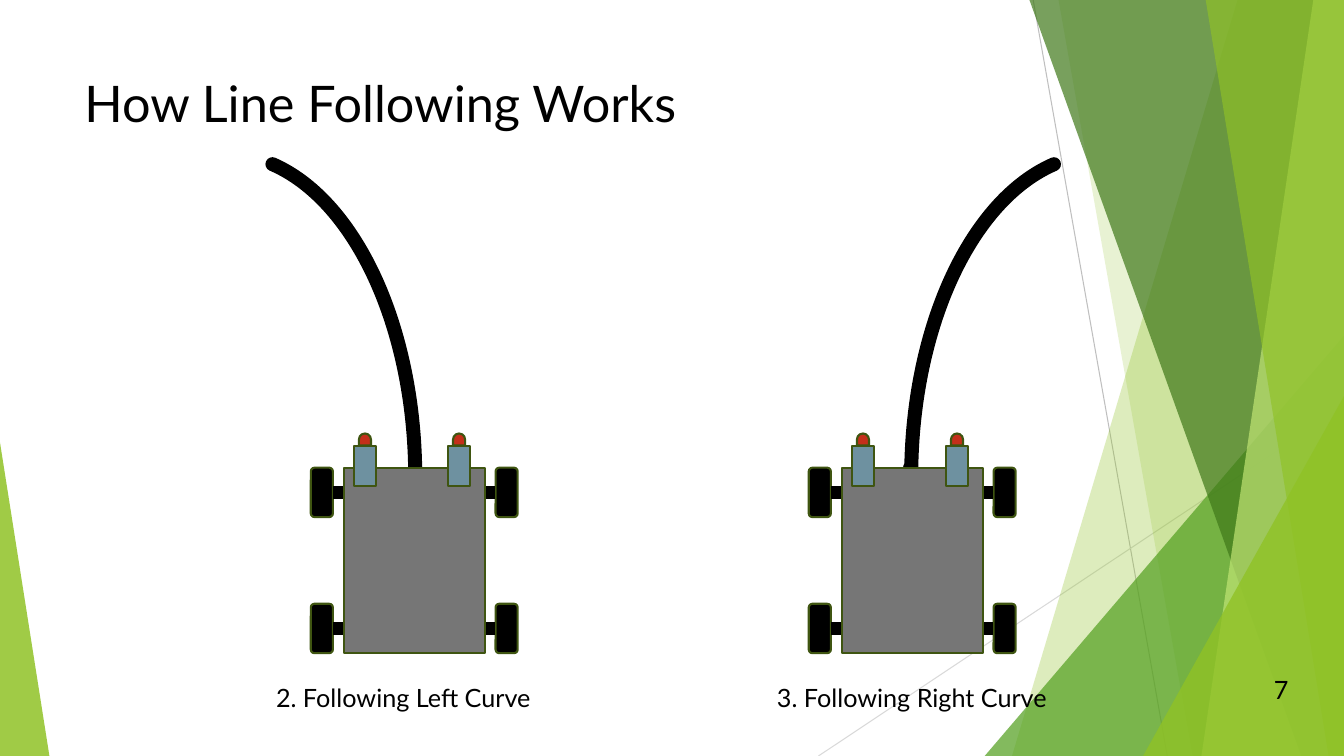
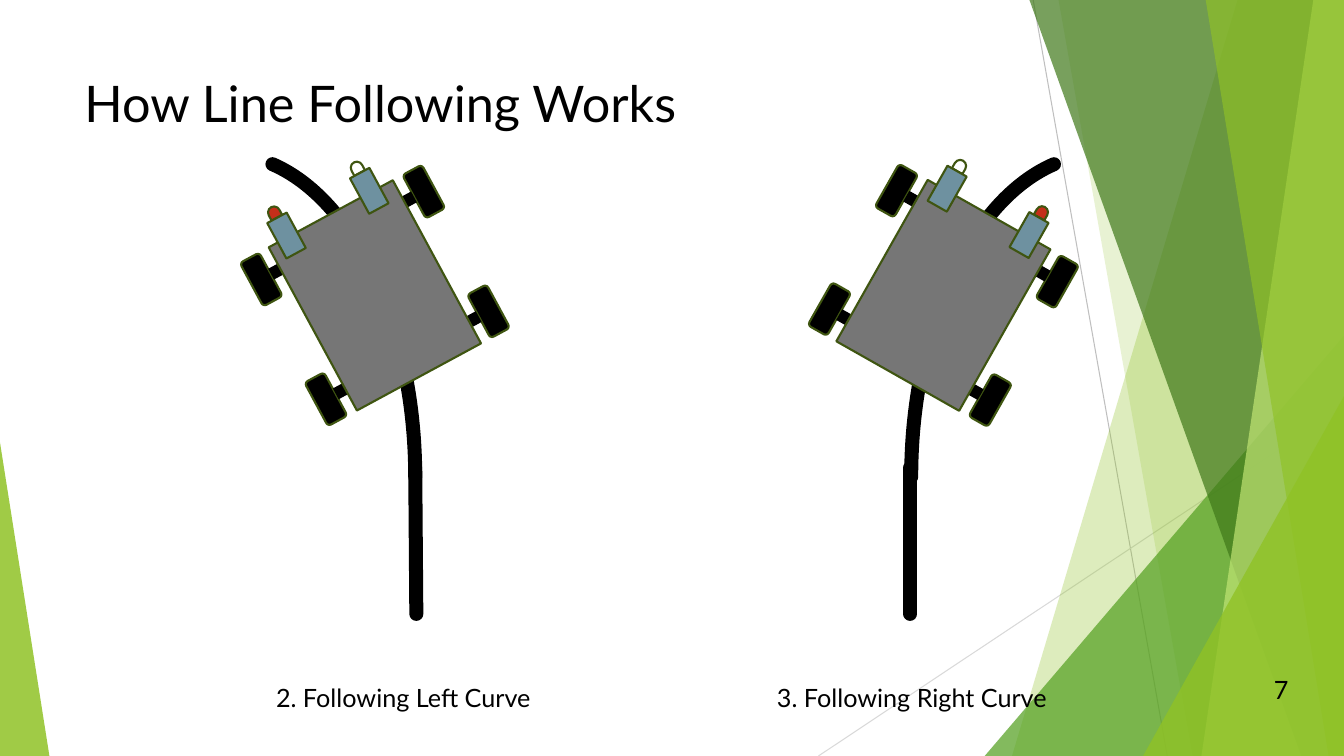
from dataclasses import dataclass
from math import cos, radians, sin

from lxml import etree
from pptx import Presentation
from pptx.dml.color import RGBColor
from pptx.enum import shapes, text
from pptx.oxml import ns
from pptx.util import Pt

BLACK = RGBColor(0x00, 0x00, 0x00)
LIME = RGBColor(0x90, 0xC2, 0x26)
LEAF = RGBColor(0x54, 0xA0, 0x21)
FOREST = RGBColor(0x3F, 0x78, 0x19)
PALE = RGBColor(0xC0, 0xE4, 0x74)
OLIVE = RGBColor(0x3F, 0x55, 0x11)
STEEL = RGBColor(0x76, 0x76, 0x76)
BLUE = RGBColor(0x6E, 0x91, 0xA0)
RED = RGBColor(0xC4, 0x2F, 0x1A)
SILVER = RGBColor(0xBF, 0xBF, 0xBF)
MIST = RGBColor(0xD9, 0xD9, 0xD9)

FONT = "Lato"
WIDTH, HEIGHT = 960, 540
KIND = shapes.MSO_SHAPE


@dataclass(frozen=True)
class Panel:
    """A band that runs from a slanted left edge to the right slide edge."""
    top: float
    bottom: float
    color: RGBColor
    alpha: int


@dataclass(frozen=True)
class Wedge:
    """A right-angled triangle standing on the bottom slide edge."""
    left: float
    top: float
    width: float
    tip: int
    color: RGBColor
    alpha: int


@dataclass(frozen=True)
class Robot:
    x: float
    y: float
    angle: float = 0
    lamps: tuple[bool, bool] = (True, True)


@dataclass(frozen=True)
class Track:
    """A quarter bend, then a straight run down."""
    left: float
    start: float
    end: float
    top: float
    foot: float


DECOR = (
    Panel(884.2, 722.9, LIME, 30),
    Panel(756, 851.8, LIME, 20),
    Wedge(703.4, 239.8, 256.6, 1, LEAF, 72),
    Panel(735.1, 929.5, FOREST, 70),
    Panel(938.2, 858.2, PALE, 70),
    Panel(861.1, 949, LIME, 65),
    Wedge(816.5, 283, 143.5, 1, LIME, 80),
    Wedge(0, 316.1, 35.3, 0, LIME, 85),
)
TRACKS = (
    Track(650.9, 108, 156.9, 650.2, 650.2),
    Track(25.9, 167.1, 0, 296.6, 297.4),
)
SCENES = (
    (Robot(651.6, 400.3), Robot(295.9, 400.3)),
    (Robot(673.9, 211, 29.5, (False, True)),
     Robot(267.8, 211, 331.6, (True, False))),
)


def paint(shape, fill: RGBColor | None = None, alpha: int = 100,
          line: RGBColor | None = None, width: float = 1.5) -> None:
    shape.shadow.inherit = False
    if fill is None:
        shape.fill.background()
    else:
        shape.fill.solid()
        shape.fill.fore_color.rgb = fill
        if alpha < 100:
            color = next(shape.element.spPr.iter(ns.qn("a:srgbClr")))
            etree.SubElement(color, ns.qn("a:alpha")).set("val", str(alpha * 1000))
    if line is None:
        shape.line.fill.background()
    else:
        shape.line.color.rgb = line
        shape.line.width = Pt(width)


def soften(shape) -> None:
    """Give the ends of a line round caps."""
    shape.line.fill
    shape.element.spPr.find(ns.qn("a:ln")).set("cap", "rnd")


def rule(slide, x1: float, y1: float, x2: float, y2: float,
         color: RGBColor, width: float):
    line = slide.shapes.add_connector(
        shapes.MSO_CONNECTOR.STRAIGHT, Pt(x1), Pt(y1), Pt(x2), Pt(y2))
    line.line.color.rgb = color
    line.line.width = Pt(width)
    etree.SubElement(line.element.spPr, ns.qn("a:effectLst"))
    return line


def shape(slide, kind, left: float, top: float, width: float, height: float):
    return slide.shapes.add_shape(kind, Pt(left), Pt(top), Pt(width), Pt(height))


def write(slide, words: str, left: float, top: float, width: float, height: float,
          *, size: float = 18, align=text.PP_ALIGN.LEFT) -> None:
    box = slide.shapes.add_textbox(Pt(left), Pt(top), Pt(width), Pt(height))
    frame = box.text_frame
    frame.word_wrap = True
    para = frame.paragraphs[0]
    para.alignment = align
    run = para.add_run()
    run.text = words
    run.font.name = FONT
    run.font.size = Pt(size)
    run.font.color.rgb = BLACK


def draw_decor(slide) -> None:
    rule(slide, 738, 0, 833.8, HEIGHT, SILVER, 0.75)
    rule(slide, WIDTH, 290.2, 584.6, HEIGHT, MIST, 0.75)
    for part in DECOR:
        if isinstance(part, Panel):
            pen = slide.shapes.build_freeform(Pt(part.top), Pt(-0.7))
            pen.add_line_segments([(Pt(WIDTH), Pt(-0.7)), (Pt(WIDTH), Pt(HEIGHT)),
                                   (Pt(part.bottom), Pt(HEIGHT))])
            item = pen.convert_to_shape()
        else:
            item = shape(slide, KIND.ISOSCELES_TRIANGLE, part.left, part.top,
                         part.width, HEIGHT - part.top)
            item.adjustments[0] = part.tip
        paint(item, part.color, part.alpha)


def draw_track(slide, track: Track) -> None:
    bend = shape(slide, KIND.ARC, track.left, 110.2, 270.7, 460.8)
    bend.adjustments[0] = track.start
    bend.adjustments[1] = track.end
    paint(bend, line=BLACK, width=10)
    soften(bend)
    soften(rule(slide, track.top, 334.1, track.foot, 438.5, BLACK, 10))


def draw_robot(slide, robot: Robot) -> None:
    turn = radians(robot.angle)

    def place(x: float, y: float) -> tuple[float, float]:
        """Turn a point about the body centre, then move it onto the slide."""
        return (robot.x + x * cos(turn) - y * sin(turn),
                robot.y + x * sin(turn) + y * cos(turn))

    def part(kind, x: float, y: float, width: float, height: float,
             fill: RGBColor | None, spin: float = 0) -> None:
        mid, level = place(x, y)
        item = shape(slide, kind, mid - width / 2, level - height / 2, width, height)
        item.rotation = (robot.angle + spin) % 360
        paint(item, fill, line=OLIVE)

    for side in (1, -1):
        for y in (-48.6, 48.6):
            part(KIND.ROUNDED_RECTANGLE, side * 66, y, 15.8, 35.3, BLACK)
            rule(slide, *place(side * 49, y), *place(side * 58, y), BLACK, 8.75)
    part(KIND.RECTANGLE, 0, 0, 100.8, 132.5, STEEL)
    for x, lit in zip((-35.2, 32), robot.lamps):
        part(KIND.FLOWCHART_DELAY, x, -86.4, 8.6, 8.6, RED if lit else None, 270)
        part(KIND.RECTANGLE, x, -67.6, 15.8, 28.8, BLUE)


def main() -> None:
    deck = Presentation()
    deck.slide_width, deck.slide_height = Pt(WIDTH), Pt(HEIGHT)
    for robots in SCENES:
        slide = deck.slides.add_slide(deck.slide_layouts[6])
        draw_decor(slide)
        for track in TRACKS:
            draw_track(slide, track)
        write(slide, "How Line Following Works", 53.3, 48.2, 676.8, 103.7, size=36)
        for robot in robots:
            draw_robot(slide, robot)
        write(slide, "3. Following Right Curve", 547.9, 483.8, 239.8, 28.8)
        write(slide, "2. Following Left Curve", 190.1, 483.8, 239.8, 28.8)
        write(slide, "7", 897.1, 478.1, 36, 28.8, align=text.PP_ALIGN.CENTER)
    deck.save("out.pptx")


if __name__ == "__main__":
    main()
